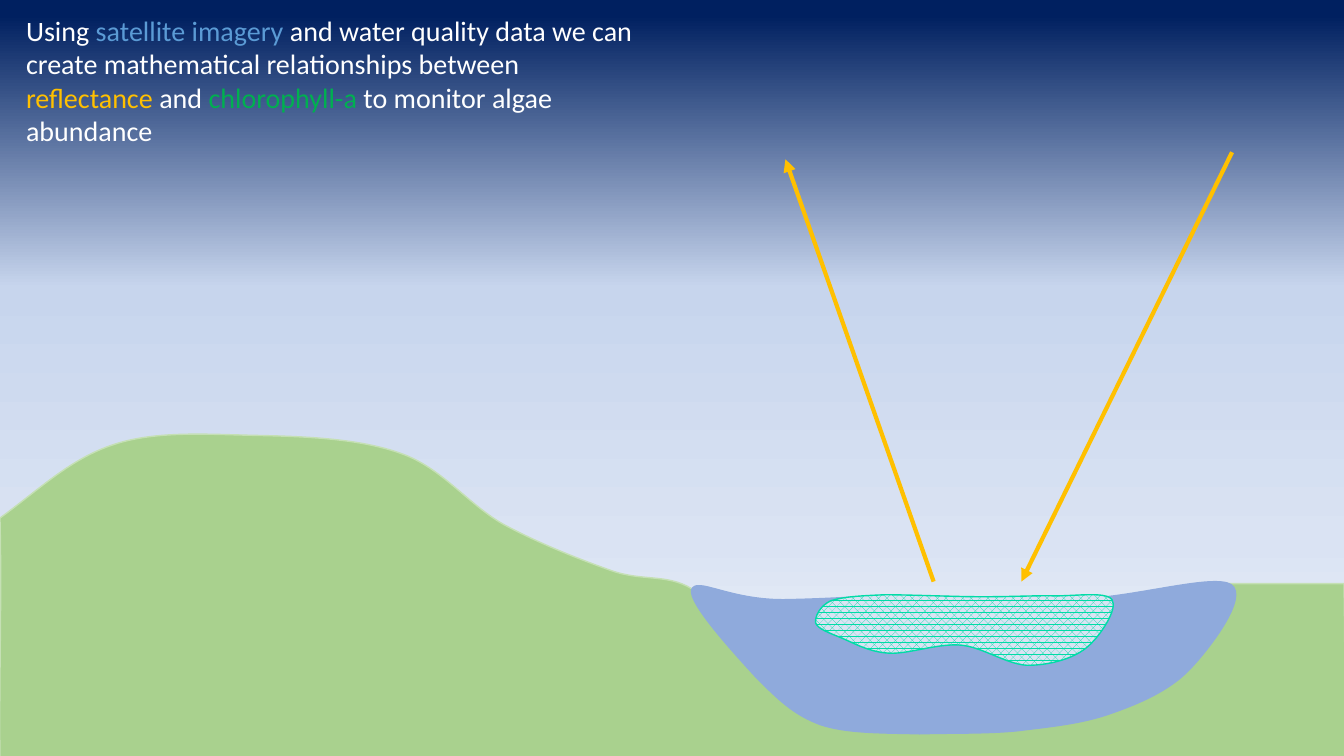
import math
from lxml import etree
from pptx import Presentation
from pptx import util as u
from pptx.dml.color import RGBColor
from pptx.enum import dml, shapes, text
from pptx.oxml.ns import qn

WHITE = RGBColor(0xFF, 0xFF, 0xFF)
BLUE = RGBColor(0x5B, 0x9B, 0xD5)
GOLD = RGBColor(0xFF, 0xC0, 0x00)
GREEN = RGBColor(0x00, 0xB0, 0x50)
GRASS = RGBColor(0xA9, 0xD1, 0x8E)
EDGE = RGBColor(0xC5, 0xE0, 0xB4)
WATER = RGBColor(0x8F, 0xAA, 0xDC)
ALGAE = RGBColor(0x00, 0xDC, 0xA7)
PALE = RGBColor(0xDA, 0xE3, 0xF3)
SKY = [
    (2, RGBColor(0x00, 0x20, 0x60)),
    (38, RGBColor(0xC7, 0xD5, 0xED)),
    (72, PALE),
    (98, RGBColor(0xF6, 0xF8, 0xFC)),
]
TILT = 185.7
HUB = (9.56, 6.16)

HILL = [
    (0, 5.14),
    (0.41, 4.84, 0.7, 4.55, 1.13, 4.41),
    (1.55, 4.27, 2.07, 4.31, 2.55, 4.32),
    (3.02, 4.33, 3.57, 4.35, 3.98, 4.5),
    (4.38, 4.64, 4.64, 5, 4.99, 5.2),
    (5.34, 5.39, 5.75, 5.55, 6.06, 5.66),
    (6.37, 5.77, 6.61, 5.69, 6.86, 5.84),
    (7.11, 5.99, 7.42, 6.57, 7.72, 6.79),
    (8.02, 7.01, 8.24, 7.13, 8.65, 7.18),
    (9.06, 7.24, 9.71, 7.23, 10.17, 7.13),
    (10.62, 7.04, 11.09, 6.83, 11.4, 6.61),
    (11.71, 6.38, 11.6, 5.9, 12.04, 5.79),
    (13.33, 5.79),
    (13.34, 6.35, 13.34, 6.95, 13.34, 7.52),
    (0, 7.51),
    (-0.01, 6.74, 0.02, 5.93, 0, 5.14),
]
LAKE = [
    (6.86, 5.85),
    (6.82, 5.98, 7.29, 6.49, 7.5, 6.72),
    (7.72, 6.94, 7.87, 7.09, 8.14, 7.19),
    (8.41, 7.28, 8.8, 7.27, 9.12, 7.28),
    (9.45, 7.27, 9.78, 7.28, 10.09, 7.25),
    (10.41, 7.21, 10.73, 7.18, 11.01, 7.08),
    (11.3, 6.98, 11.6, 6.85, 11.8, 6.64),
    (12, 6.43, 12.39, 5.92, 12.21, 5.8),
    (12.04, 5.69, 11.27, 5.92, 10.74, 5.94),
    (10.21, 5.95, 9.59, 5.92, 9.02, 5.91),
    (8.53, 5.91, 8.32, 5.94, 7.77, 5.95),
    (7.22, 5.95, 6.91, 5.72, 6.86, 5.85),
]
BLOOM = [
    (11.03, 5.95),
    (11.09, 6.04, 10.91, 6.32, 10.77, 6.43),
    (10.63, 6.54, 10.4, 6.6, 10.19, 6.6),
    (9.98, 6.59, 9.75, 6.42, 9.53, 6.4),
    (9.3, 6.38, 9.01, 6.49, 8.82, 6.48),
    (8.62, 6.47, 8.47, 6.38, 8.35, 6.33),
    (8.23, 6.28, 8.11, 6.24, 8.09, 6.18),
    (8.08, 6.12, 8.13, 6.01, 8.24, 5.96),
    (8.36, 5.92, 8.53, 5.91, 8.78, 5.9),
    (9.03, 5.9, 9.47, 5.92, 9.74, 5.92),
    (10.01, 5.92, 10.2, 5.91, 10.41, 5.91),
    (10.63, 5.92, 10.97, 5.86, 11.03, 5.95),
]
WORDS = [
    ("Using ", WHITE),
    ("satellite imagery ", BLUE),
    ("and water quality data we can create mathematical relationships between ", WHITE),
    ("reflectance ", GOLD),
    ("and ", WHITE),
    ("chlorophyll-a ", GREEN),
    ("to monitor algae abundance", WHITE),
]


def size(*vals):
    return [u.Cm(val * 2.54) for val in vals]


def paint_sky(slide):
    fill = slide.background.fill
    fill.gradient()
    fill.gradient_angle = 270
    stops = next(slide.element.iter(qn("a:gsLst")))
    for stop in list(stops):
        stops.remove(stop)
    for pos, color in SKY:
        stop = etree.SubElement(stops, qn("a:gs"), pos=str(pos * 1000))
        etree.SubElement(stop, qn("a:srgbClr"), val=str(color))


def pairs(part):
    return list(zip(part[::2], part[1::2]))


def turn(dot, angle):
    rad = math.radians(angle)
    dx, dy = dot[0] - HUB[0], dot[1] - HUB[1]
    return (
        HUB[0] + dx * math.cos(rad) - dy * math.sin(rad),
        HUB[1] + dx * math.sin(rad) + dy * math.cos(rad),
    )


def add_form(slide, parts, edge):
    ends = [size(*part[-2:]) for part in parts]
    pen = slide.shapes.build_freeform(*ends[0], scale=1.0)
    pen.add_line_segments(ends[1:], close=True)
    form = pen.convert_to_shape()
    for leg, part in zip(list(form.element.iter(qn("a:lnTo"))), parts[1:]):
        if len(part) == 2:
            continue
        leg.tag = qn("a:cubicBezTo")
        for spot in list(leg):
            leg.remove(spot)
        for dot in pairs(part):
            x, y = size(*dot)
            etree.SubElement(leg, qn("a:pt"), x=str(x - form.left), y=str(y - form.top))
    form.shadow.inherit = False
    form.line.color.rgb = edge
    form.line.width = u.Pt(1)
    return form


def add_solid(slide, parts, color, edge):
    form = add_form(slide, parts, edge)
    form.fill.solid()
    form.fill.fore_color.rgb = color


def add_algae(slide):
    flat = [sum((turn(dot, -TILT) for dot in pairs(part)), ()) for part in BLOOM]
    form = add_form(slide, flat, ALGAE)
    wide, high = form.width.inches, form.height.inches
    x, y = turn((form.left.inches + wide / 2, form.top.inches + high / 2), TILT)
    form.left, form.top = size(x - wide / 2, y - high / 2)
    form.rotation = TILT
    fill = form.fill
    fill.patterned()
    fill.pattern = dml.MSO_PATTERN.PERCENT_60
    fill.fore_color.rgb = ALGAE
    fill.back_color.rgb = PALE


def add_ray(slide, *ends):
    ray = slide.shapes.add_connector(shapes.MSO_CONNECTOR.STRAIGHT, *size(*ends))
    ray.line.color.rgb = GOLD
    ray.line.width = u.Pt(3)
    frame = ray.element.spPr
    etree.SubElement(frame.get_or_add_ln(), qn("a:tailEnd"), type="triangle")
    etree.SubElement(frame, qn("a:effectLst"))


def add_words(slide):
    box = slide.shapes.add_textbox(*size(0.16, 0.08, 6.38, 1.75))
    frame = box.text_frame
    frame.word_wrap = True
    frame.auto_size = text.MSO_AUTO_SIZE.SHAPE_TO_FIT_TEXT
    para = frame.paragraphs[0]
    para.font.size = u.Pt(20)
    para.font.name = "Calibri"
    for words, color in WORDS:
        run = para.add_run()
        run.text = words
        run.font.color.rgb = color


def main():
    deck = Presentation()
    deck.slide_width, deck.slide_height = size(13.33, 7.5)
    slide = deck.slides.add_slide(deck.slide_layouts[6])
    paint_sky(slide)
    add_solid(slide, HILL, GRASS, EDGE)
    add_solid(slide, LAKE, WATER, WATER)
    add_ray(slide, 12.22, 1.51, 10.13, 5.77)
    add_words(slide)
    add_algae(slide)
    add_ray(slide, 9.26, 5.77, 7.79, 1.58)
    deck.save("out.pptx")


if __name__ == "__main__":
    main()
